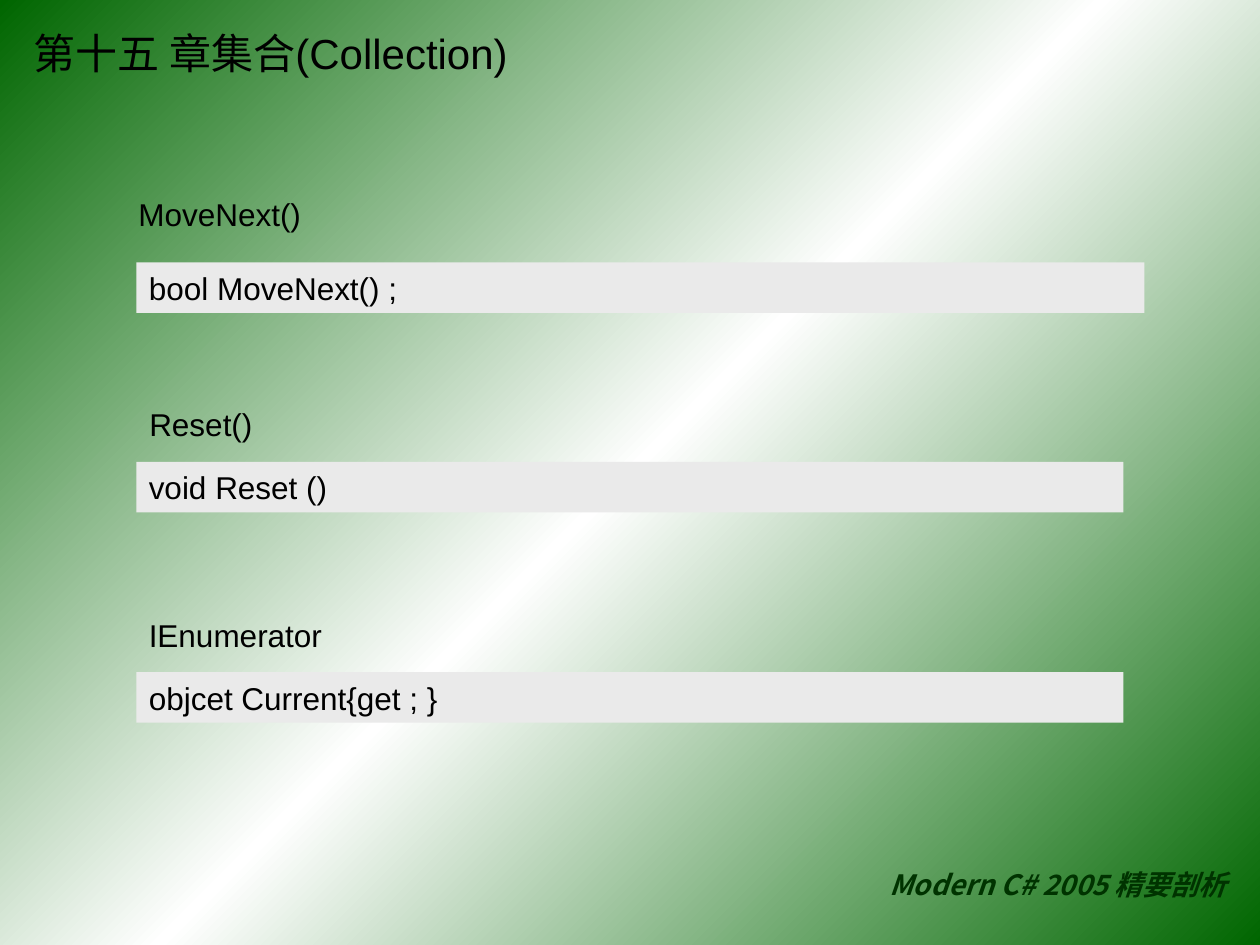
"""Build the collection chapter slide that lists the enumerator members."""
import copy
from dataclasses import dataclass

import pptx
import pptx.dml.color
import pptx.enum.shapes
import pptx.enum.text
import pptx.oxml
import pptx.oxml.ns
import pptx.util

Cm = pptx.util.Cm
Align = pptx.enum.text.PP_ALIGN


@dataclass(frozen=True)
class Theme:
    green: str = "006600"
    white: str = "FFFFFF"
    black: str = "000000"
    bar: str = "EAEAEA"
    footer: str = "003300"
    latin_font: str = "Arial"
    chinese_font: str = "Noto Sans CJK SC"
    title_size: int = 24
    body_size: int = 18
    footer_size: int = 16


THEME = Theme()
BAR_LEFT = 2.75
LINE_HEIGHT = 1.02
MEMBERS = [
    ("MoveNext()", 2.54, 3.81, "bool MoveNext() ;", 5.29, 20.32),
    ("Reset()", 2.76, 8.04, "void Reset ()", 9.31, 19.9),
    ("IEnumerator", 2.75, 12.28, "objcet Current{get ; }", 13.55, 19.9),
]


def rgb(value):
    return pptx.dml.color.RGBColor.from_string(value)


def paint_background(slide):
    fill = slide.background.fill
    fill.gradient()
    fill.gradient_angle = 315
    stop_list = next(slide.element.iter(pptx.oxml.ns.qn("a:gsLst")))
    stop_list.insert(1, copy.deepcopy(stop_list[0]))
    colors = (THEME.green, THEME.white, THEME.green)
    for stop, color, position in zip(fill.gradient_stops, colors, (0, 0.5, 1)):
        stop.color.rgb = rgb(color)
        stop.position = position


def write_text(shape, text, size, color=THEME.black, name=THEME.latin_font,
               align=Align.LEFT, emphasis=False):
    frame = shape.text_frame
    frame.text = text
    frame.word_wrap = True
    frame.auto_size = pptx.enum.text.MSO_AUTO_SIZE.NONE
    frame.vertical_anchor = pptx.enum.text.MSO_ANCHOR.MIDDLE
    paragraph = frame.paragraphs[0]
    paragraph.alignment = align
    font = paragraph.font
    font.name = name
    font.size = pptx.util.Pt(size)
    font.bold = font.italic = emphasis
    font.color.rgb = rgb(color)
    latin = next(shape.element.iter(pptx.oxml.ns.qn("a:latin")))
    east_asian = pptx.oxml.parse_xml(f"<a:ea {pptx.oxml.ns.nsdecls('a')}/>")
    east_asian.set("typeface", THEME.chinese_font)
    latin.addnext(east_asian)


def set_title(slide, text):
    title = slide.shapes.title
    title.left, title.top = Cm(0.43), Cm(0.43)
    title.width, title.height = Cm(15.44), Cm(1.27)
    write_text(title, text, THEME.title_size)


def add_label(slide, text, left, top):
    label = slide.shapes.add_textbox(Cm(left), Cm(top), Cm(4.2), Cm(LINE_HEIGHT))
    write_text(label, text, THEME.body_size)


def add_code_bar(slide, text, top, width):
    bar = slide.shapes.add_shape(
        pptx.enum.shapes.MSO_SHAPE.RECTANGLE,
        Cm(BAR_LEFT), Cm(top), Cm(width), Cm(LINE_HEIGHT))
    bar.shadow.inherit = False
    bar.fill.solid()
    bar.fill.fore_color.rgb = rgb(THEME.bar)
    bar.line.fill.background()
    write_text(bar, text, THEME.body_size)


def add_footer(slide, text):
    footer = slide.shapes.add_textbox(Cm(11), Cm(17.35), Cm(13.97), Cm(0.94))
    write_text(footer, text, THEME.footer_size, THEME.footer,
               THEME.chinese_font, Align.RIGHT, emphasis=True)


def main():
    presentation = pptx.Presentation()
    presentation.slide_width, presentation.slide_height = Cm(25.4), Cm(19.05)
    slide = presentation.slides.add_slide(presentation.slide_layouts[5])
    paint_background(slide)
    add_footer(slide, "Modern C# 2005 精要剖析")
    set_title(slide, "第十五 章集合(Collection)")
    for name, label_left, label_top, code, bar_top, bar_width in MEMBERS:
        add_label(slide, name, label_left, label_top)
        add_code_bar(slide, code, bar_top, bar_width)
    presentation.save("out.pptx")


if __name__ == "__main__":
    main()
